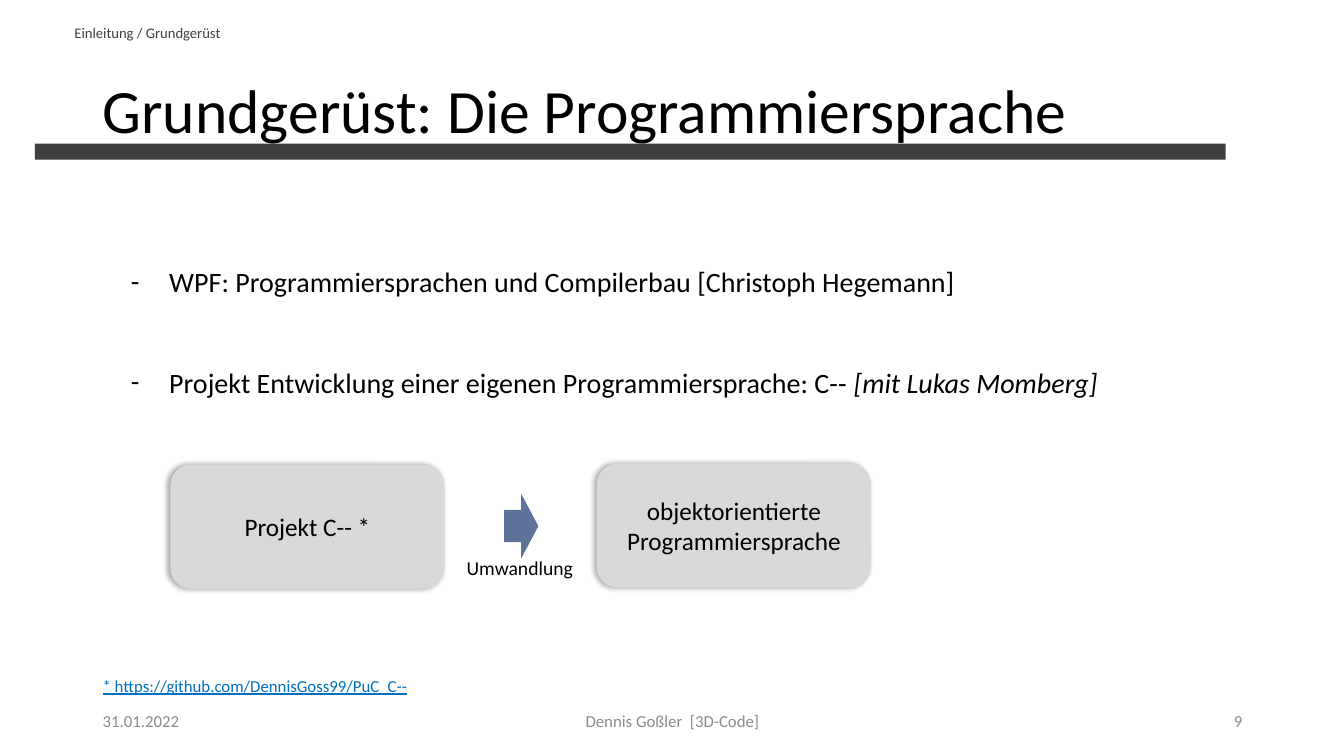
"""Build the slide on the programming language C-- and its conversion."""
from lxml import etree
from pptx import Presentation, util as u
from pptx.dml.color import RGBColor
from pptx.enum import shapes, text
from pptx.oxml.ns import qn

theme = {
    "font": "Calibri",
    "ink": "000000", "dark": "404040", "mute": "8C8C8C", "link": "0070C0",
    "box": "D9D9D9", "arrow": "5D739A",
    "title": 44, "body": 20, "label": 18, "note": 14, "small": 12, "crumb": 10.5,
}
left, mid, right = text.PP_ALIGN.LEFT, text.PP_ALIGN.CENTER, text.PP_ALIGN.RIGHT
top, center = text.MSO_ANCHOR.TOP, text.MSO_ANCHOR.MIDDLE
kind = shapes.MSO_SHAPE

deck = Presentation()
deck.slide_width, deck.slide_height = u.Inches(13.33), u.Inches(7.5)
slide = deck.slides.add_slide(deck.slide_layouts[6])


def place(area):
    """Turn percent shares of the slide into lengths."""
    sides = (deck.slide_width, deck.slide_height) * 2
    return [int(side * share / 100) for side, share in zip(sides, area)]


def write(shape, lines, size, color, align=left, anchor=center, **form):
    """Fill a shape with paragraphs, each a list of (words, italic) runs."""
    frame = shape.text_frame
    frame.word_wrap, frame.vertical_anchor = True, anchor
    for num, runs in enumerate(lines):
        para = frame.add_paragraph() if num else frame.paragraphs[0]
        para.alignment = align
        for words, slant in runs:
            run = para.add_run()
            run.text = words
            look = {"name": theme["font"], "size": u.Pt(theme[size]), "italic": slant, **form}
            for key, val in look.items():
                setattr(run.font, key, val)
            run.font.color.rgb = RGBColor.from_string(theme[color])
    return frame


edge, base, foot = 6.9, 92.67, 5.33
labels = [
    ((edge, 5.33, 86.27, 19.33), "Grundgerüst: Die Programmiersprache", "title", "ink", left, center, {}),
    ((edge, base, 22.5, foot), "31.01.2022", "small", "mute", left, center, {}),
    ((33.16, base, 33.76, foot), "Dennis Goßler  [3D-Code]", "small", "mute", mid, center, {}),
    ((70.67, base, 22.5, foot), "9", "small", "mute", right, center, {}),
    ((4.8, 1.6, 23.33, foot), "Einleitung / Grundgerüst", "crumb", "dark", left, center, {}),
    ((edge, 88.67, 27.68, 4), "* https://github.com/DennisGoss99/PuC_C--", "small", "link", left, top,
     {"underline": True}),
    ((33.98, 72.93, 12.15, 4.53), "Umwandlung", "note", "ink", left, top, {}),
]
for area, words, size, color, align, anchor, form in labels:
    label = slide.shapes.add_textbox(*place(area))
    frame = write(label, [[(words, False)]], size, color, align, anchor, **form)
    if size == "title":
        frame.paragraphs[0].line_spacing = 0.9

points = [
    [("WPF: Programmiersprachen und Compilerbau [Christoph Hegemann]", False)],
    [("Projekt Entwicklung einer eigenen Programmiersprache: C-- ", False),
     ("[mit Lukas Momberg]", True)],
]
body = slide.shapes.add_textbox(*place((9, 25.47, 78.39, 25.87)))
dent = u.Inches(0.38)
for para in write(body, points, "body", "ink", anchor=top).paragraphs:
    props = para._p.get_or_add_pPr()
    props.set("marL", str(dent))
    props.set("indent", str(-dent))
    etree.SubElement(props, qn("a:buFont"), typeface=theme["font"])
    etree.SubElement(props, qn("a:buChar"), char="-")
    para.line_spacing = 3.0

wide, high = 20.41, 16.4
blocks = [
    (kind.RECTANGLE, (2.59, 19, 88.6, 2.13), "dark", ""),
    (kind.RIGHT_ARROW, (37.51, 65.33, 2.55, 8.53), "arrow", ""),
    (kind.ROUNDED_RECTANGLE, (12.68, 61.47, wide, high), "box", "Projekt C-- *"),
    (kind.ROUNDED_RECTANGLE, (44.41, 61.33, wide, high), "box", "objektorientierte Programmiersprache"),
]
for form, area, color, words in blocks:
    block = slide.shapes.add_shape(form, *place(area))
    block.fill.solid()
    block.fill.fore_color.rgb = RGBColor.from_string(theme[color])
    block.line.fill.background()
    block.shadow.inherit = False
    if words:
        write(block, [[(words, False)]], "label", "ink", mid)
        glow = etree.SubElement(
            block._element.spPr.find(qn("a:effectLst")), qn("a:outerShdw"),
            blurRad=str(u.Pt(4)), dist=str(u.Pt(2)), dir="10800000", rotWithShape="0")
        tint = etree.SubElement(glow, qn("a:srgbClr"), val=theme["ink"])
        etree.SubElement(tint, qn("a:alpha"), val="32000")

deck.save("out.pptx")
